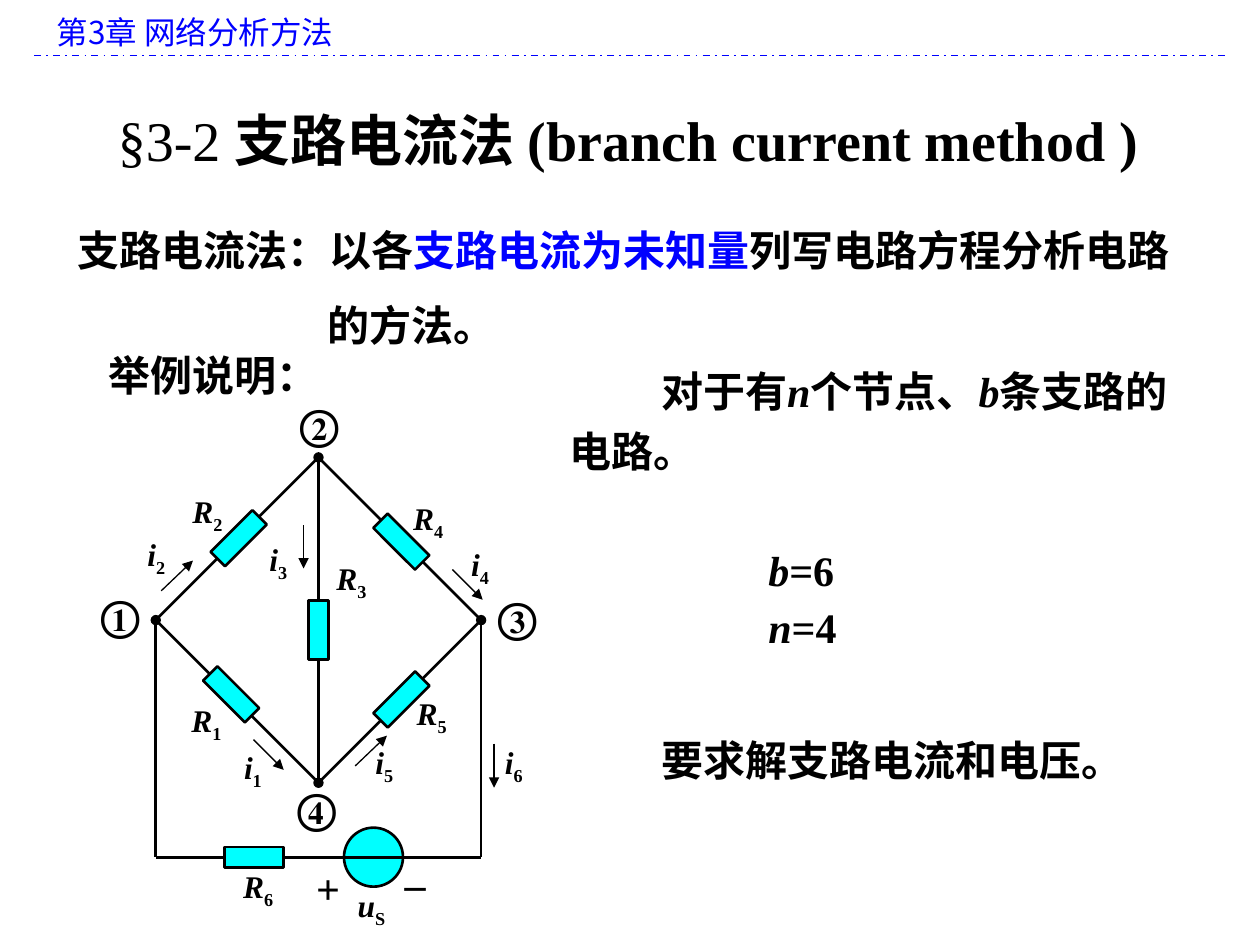
from typing import NamedTuple

from lxml.etree import SubElement
from pptx import Presentation
from pptx.dml.color import RGBColor
from pptx.enum.dml import MSO_LINE
from pptx.enum.shapes import MSO_CONNECTOR, MSO_SHAPE
from pptx.enum.text import MSO_ANCHOR, MSO_AUTO_SIZE, PP_ALIGN
from pptx.oxml.ns import qn
from pptx.util import Cm, Pt

BLACK = RGBColor(0, 0, 0)
BLUE = RGBColor(0, 0, 255)
CYAN = RGBColor(0, 255, 255)
ROMAN = "Times New Roman"
HAN = "Noto Sans CJK SC"


class Run(NamedTuple):
    text: str
    italic: bool = False
    bold: bool = True
    color: RGBColor = BLACK
    sub: bool = False


class Box(NamedTuple):
    left: float
    top: float
    width: float
    height: float
    runs: list[Run]
    size: int = 24
    format: dict = {}
    margin: float = 0
    indent: float = 0
    latin: str = ROMAN
    asian: str = HAN
    anchor: MSO_ANCHOR = MSO_ANCHOR.TOP
    fit: MSO_AUTO_SIZE = MSO_AUTO_SIZE.SHAPE_TO_FIT_TEXT


class Wire(NamedTuple):
    x1: float
    y1: float
    x2: float
    y2: float
    head: str = "none"
    tail: str = "none"
    width: float = 1.5
    color: RGBColor = BLACK


class Part(NamedTuple):
    x: float
    y: float
    turn: int = 0
    height: float = 0.41
    kind: MSO_SHAPE = MSO_SHAPE.RECTANGLE


class Label(NamedTuple):
    name: str
    sub: str
    left: float
    top: float
    width: float


def write(shapes, box: Box) -> None:
    place = [Cm(n) for n in (box.left, box.top, box.width, box.height)]
    frame = shapes.add_textbox(*place).text_frame
    values = {"word_wrap": True, "auto_size": box.fit, "vertical_anchor": box.anchor}
    for key, value in values.items():
        setattr(frame, key, value)
    para = frame.paragraphs[0]
    for key, value in box.format.items():
        setattr(para, key, value)
    if box.margin or box.indent:
        props = para._p.get_or_add_pPr()
        props.set("marL", str(Cm(box.margin)))
        props.set("indent", str(Cm(box.indent)))
    for item in box.runs:
        run = para.add_run()
        run.text = item.text
        values = {"name": box.latin, "size": Pt(box.size),
                  "bold": item.bold, "italic": item.italic}
        for key, value in values.items():
            setattr(run.font, key, value)
        run.font.color.rgb = item.color
        props = run._r.get_or_add_rPr()
        SubElement(props, qn("a:ea")).set("typeface", box.asian)
        if item.sub:
            props.set("baseline", "-25000")


def connect(shapes, wire: Wire, dash: MSO_LINE | None = None) -> None:
    ends = [Cm(n) for n in wire[:4]]
    link = shapes.add_connector(MSO_CONNECTOR.STRAIGHT, *ends)
    link.line.color.rgb = wire.color
    link.line.width = Pt(wire.width)
    if dash:
        link.line.dash_style = dash
    line = link.line._get_or_add_ln()
    for tag, kind in (("a:headEnd", wire.head), ("a:tailEnd", wire.tail)):
        if kind != "none":
            SubElement(line, qn(tag)).set("type", kind)
    SubElement(link._element.spPr, qn("a:effectLst"))


def mount(shapes, part: Part) -> None:
    wide = 1.19
    shape = shapes.add_shape(part.kind, Cm(part.x - wide / 2),
                             Cm(part.y - part.height / 2), Cm(wide), Cm(part.height))
    shape.rotation = part.turn
    shape.shadow.inherit = False
    shape.fill.solid()
    shape.fill.fore_color.rgb = CYAN
    shape.line.color.rgb = BLACK
    shape.line.width = Pt(1.5)


def tag(shapes, label: Label) -> None:
    runs = [Run(label.name, True), Run(label.sub, sub=True)]
    write(shapes, Box(label.left, label.top, label.width, 1.02, runs, 18))


MID = {"alignment": PP_ALIGN.CENTER}
TEXTS = [
    Box(0.89, 0.13, 23.8, 1.02, [Run("第3章 网络分析方法", bold=False, color=BLUE)],
        18, latin=HAN),
    Box(1.93, 6.93, 4.93, 1.27, [Run("举例说明：")]),
    Box(1.32, 3.89, 22.83, 3.3,
        [Run("支路电流法：以各"), Run("支路电流为未知量", color=BLUE),
         Run("列写电路方程分析电路的方法。")],
        format={"line_spacing": 1.5}, margin=5.03, indent=-5.03),
    Box(0.97, 1.96, 23.39, 1.7,
        [Run("§3-2 ", bold=False), Run("支路电流法 (branch current method )")],
        32, MID, anchor=MSO_ANCHOR.MIDDLE, fit=MSO_AUTO_SIZE.NONE),
    Box(11.23, 7.04, 12.7, 2.69,
        [Run("对于有"), Run("n", True), Run("个节点、"), Run("b", True),
         Run("条支路的电路。")], format={"line_spacing": 1.2}, indent=1.85),
    Box(15.24, 10.85, 3.02, 1.27, [Run("b", True), Run("=6")]),
    Box(15.24, 12.01, 2.06, 1.27, [Run("n", True), Run("=4")]),
    Box(11.23, 14.48, 12.7, 1.47, [Run("要求解支路电流和电压。")],
        format={"line_spacing": 1.2}, indent=1.85),
    Box(6.12, 17.27, 0.99, 1.27, [Run("+")], format=MID, anchor=MSO_ANCHOR.MIDDLE),
    Box(7.9, 16.87, 0.94, 1.27, [Run("_")], format=MID, anchor=MSO_ANCHOR.MIDDLE),
]
NODES = [("①", 1.78, 11.76), ("②", 5.79, 7.9), ("③", 9.78, 11.79), ("④", 5.74, 15.65)]

WEST, NORTH, EAST, SOUTH = (3.14, 12.5), (6.42, 9.22), (9.7, 12.5), (6.42, 15.78)
BASE = 17.28
WIRES = [
    Wire(*WEST, *SOUTH), Wire(*NORTH, *WEST),
    Wire(*NORTH, *EAST), Wire(*EAST, *SOUTH),
    Wire(*NORTH, *SOUTH, "oval", "oval"),
    Wire(*WEST, WEST[0], BASE, "oval"), Wire(*EAST, EAST[0], BASE, "oval"),
    Wire(WEST[0], BASE, EAST[0], BASE),
]
ARROWS = [
    (5.11, 14.91, 5.72, 15.52), (3.25, 11.91, 3.89, 11.3),
    (6.12, 10.59, 6.12, 11.46), (9.12, 11.48, 9.73, 12.09),
    (7.16, 15.44, 7.8, 14.83), (9.96, 14.99, 9.96, 15.88),
]
SOURCE = Part(7.53, BASE, height=1.19, kind=MSO_SHAPE.OVAL)
PARTS = [
    Part(4.66, 14, 45), Part(4.81, 10.85, 135), Part(6.42, 12.7, 90),
    Part(8.09, 10.92, 45), Part(8.09, 14.1, 135), Part(5.12, BASE),
]
LABELS = [
    Label("R", "1", 3.61, 14, 1.7), Label("R", "2", 3.63, 9.8, 1.7),
    Label("R", "3", 6.53, 11.15, 1.14), Label("R", "4", 8.08, 9.93, 1.14),
    Label("R", "5", 8.15, 13.87, 1.14), Label("R", "6", 4.65, 17.35, 1.14),
    Label("i", "1", 4.67, 14.96, 0.89), Label("i", "2", 2.72, 10.67, 0.89),
    Label("i", "3", 5.18, 10.77, 0.89), Label("i", "4", 9.25, 10.87, 0.89),
    Label("i", "5", 7.32, 14.86, 0.89), Label("i", "6", 9.93, 14.86, 0.89),
    Label("u", "S", 6.96, 17.73, 1.8),
]


def main() -> None:
    deck = Presentation()
    deck.slide_width, deck.slide_height = Cm(25.4), Cm(19.05)
    shapes = deck.slides.add_slide(deck.slide_layouts[6]).shapes
    connect(shapes, Wire(0.69, 1.12, 24.69, 1.12, width=1, color=BLUE), MSO_LINE.DASH_DOT)
    mount(shapes, SOURCE)
    for wire in WIRES:
        connect(shapes, wire)
    for part in PARTS:
        mount(shapes, part)
    for ends in ARROWS:
        connect(shapes, Wire(*ends, tail="triangle", width=0.75))
    for box in TEXTS:
        write(shapes, box)
    for label in LABELS:
        tag(shapes, label)
    for sign, left, top in NODES:
        write(shapes, Box(left, top, 1.37, 1.27, [Run(sign)], asian=ROMAN))
    deck.save("out.pptx")


if __name__ == "__main__":
    main()
